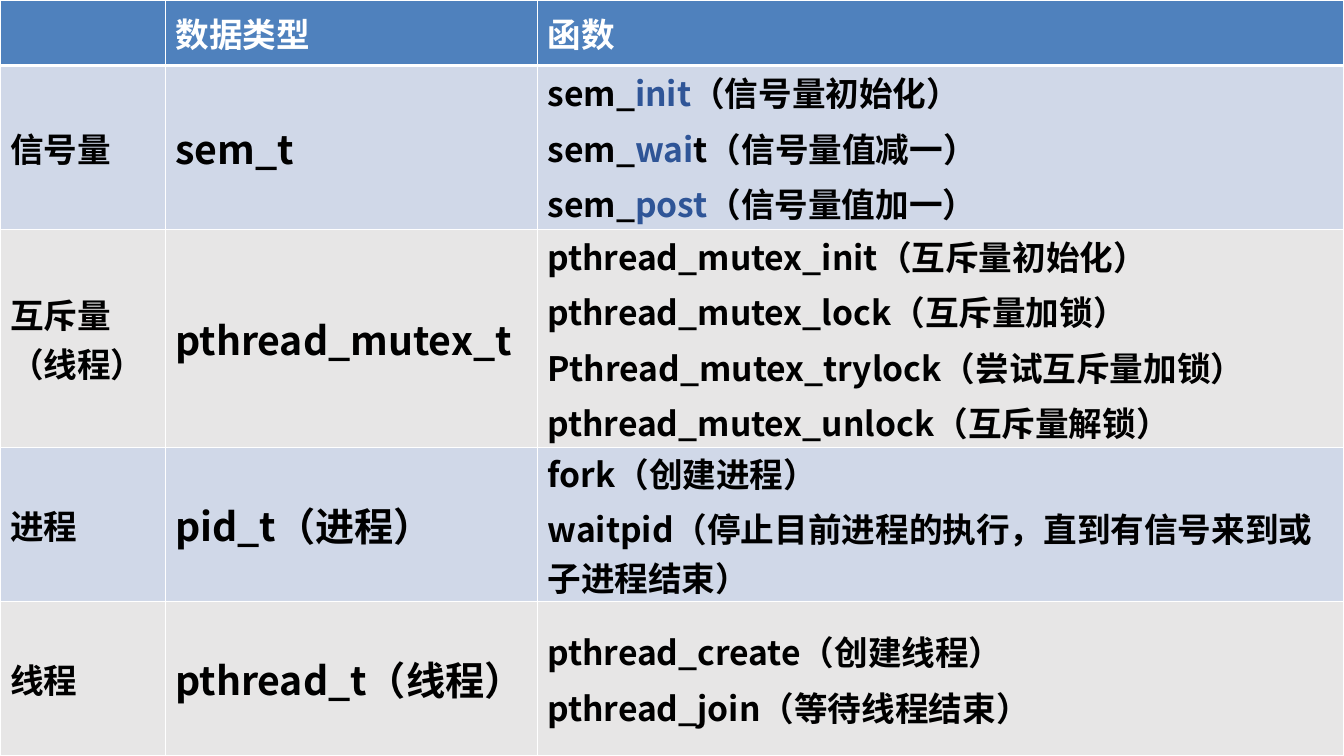
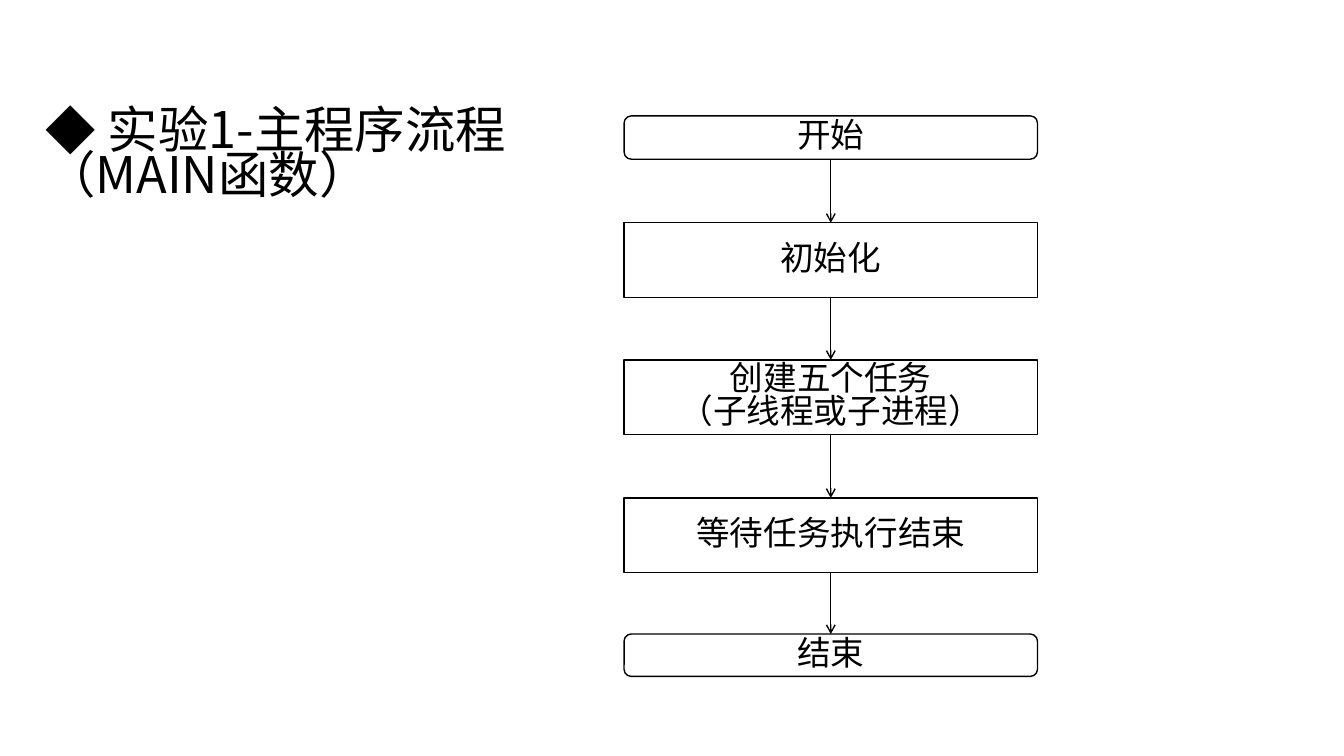
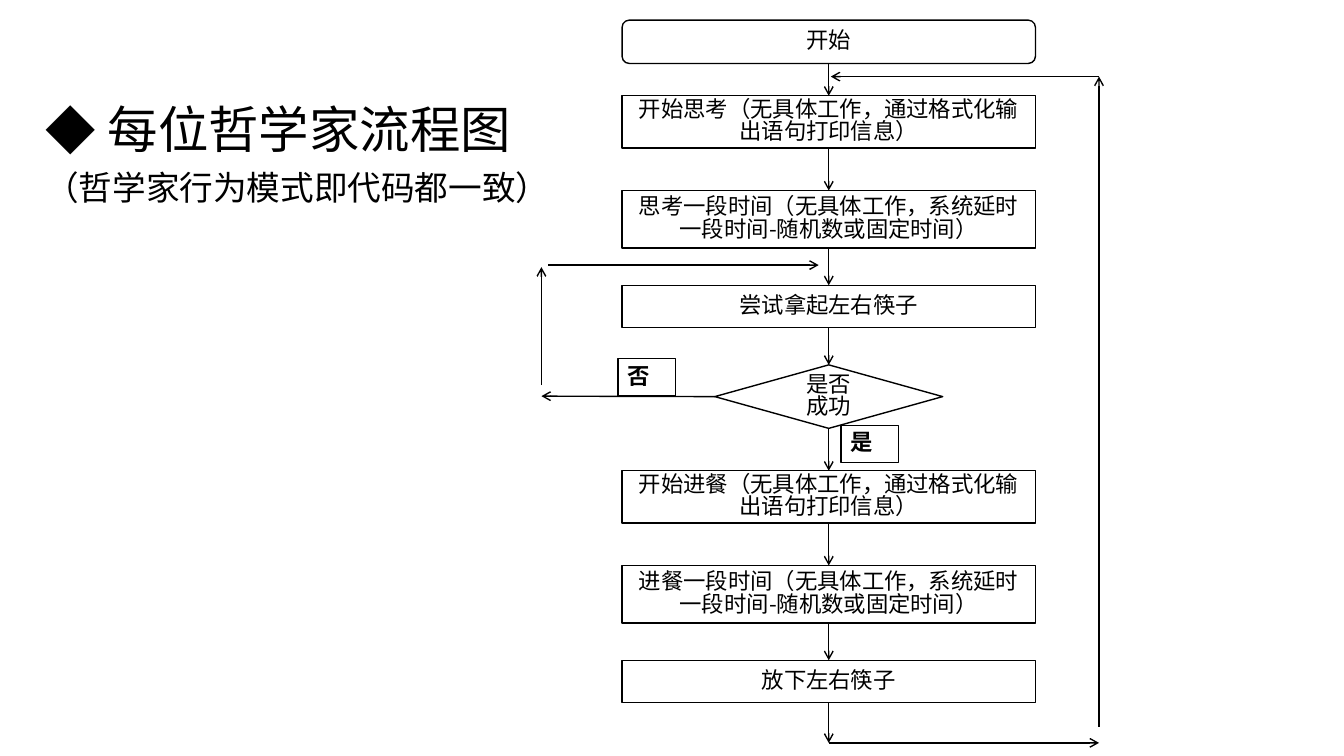
from pptx import Presentation
from pptx import util as u
from pptx.dml.color import RGBColor
from pptx.enum import shapes, text
from pptx.oxml import ns
from lxml import etree

BLACK, WHITE, HIGHLIGHT = "000000", "FFFFFF", "2F5597"
HEADER_FILL, BLUE_ROW, GREY_ROW = "4F81BD", "D0D8E8", "E7E6E6"
FONT = "Noto Sans CJK SC"
TITLE_SPACING, FLOW_SPACING = 0.74, 0.83
ROUNDED = shapes.MSO_SHAPE.FLOWCHART_ALTERNATE_PROCESS
PROCESS = shapes.MSO_SHAPE.FLOWCHART_PROCESS
DECISION = shapes.MSO_SHAPE.FLOWCHART_DECISION
TOP, LEFT, BOTTOM = 0, 1, 2

COLUMN_WIDTHS = [1.64, 3.69, 8]
ROW_HEIGHTS = [0.65, 1.63, 2.16, 1.53, 1.53]
HEADINGS = ["", "数据类型", "函数"]
API_ROWS = [
    ("信号量", "sem_t", [
        ("sem_", "init", "（信号量初始化）"),
        ("sem_", "wai", "t（信号量值减一）"),
        ("sem_", "post", "（信号量值加一）")]),
    ("互斥量（线程）", "pthread_mutex_t", [
        ("pthread_mutex_init（互斥量初始化）",),
        ("pthread_mutex_lock（互斥量加锁）",),
        ("Pthread_mutex_trylock（尝试互斥量加锁）",),
        ("pthread_mutex_unlock（互斥量解锁）",)]),
    ("进程", "pid_t（进程）", [
        ("fork（创建进程）",),
        ("waitpid（停止目前进程的执行，直到有信号来到或子进程结束）",)]),
    ("线程", "pthread_t（线程）", [
        ("pthread_create（创建线程）",),
        ("pthread_join（等待线程结束）",)]),
]

MAIN_STEPS = [
    (ROUNDED, 1.15, 0.43, ["开始"]),
    (PROCESS, 2.21, 0.74, ["初始化"]),
    (PROCESS, 3.57, 0.74, ["创建五个任务", "（子线程或子进程）"]),
    (PROCESS, 4.94, 0.74, ["等待任务执行结束"]),
    (ROUNDED, 6.29, 0.42, ["结束"]),
]
PHILOSOPHER_STEPS = [
    (ROUNDED, 0.2, 0.43, ["开始"]),
    (PROCESS, 0.95, 0.52, ["开始思考（无具体工作，通过格式化输出语句打印信息）"]),
    (PROCESS, 1.89, 0.57, ["思考一段时间（无具体工作，系统延时一段时间-随机数或固定时间）"]),
    (PROCESS, 2.83, 0.42, ["尝试拿起左右筷子"]),
    (DECISION, 3.62, 0.63, ["是否", "成功"]),
    (PROCESS, 4.67, 0.52, ["开始进餐（无具体工作，通过格式化输出语句打印信息）"]),
    (PROCESS, 5.61, 0.57, ["进餐一段时间（无具体工作，系统延时一段时间-随机数或固定时间）"]),
    (PROCESS, 6.55, 0.42, ["放下左右筷子"]),
]


def colour(value):
    """Turn a hex string into a colour."""
    return RGBColor.from_string(value)


def add_run(paragraph, words, size, hue=BLACK, bold=False):
    """Add one styled run to a paragraph."""
    run = paragraph.add_run()
    run.text = words
    run.font.size = u.Pt(size)
    run.font.bold = bold
    run.font.name = FONT
    run.font.color.rgb = colour(hue)
    east_asian = etree.SubElement(run.font._element, ns.qn("a:ea"))
    east_asian.set("typeface", FONT)


def next_paragraph(frame, index):
    """Return the first paragraph of a frame, or a new one after it."""
    return frame.add_paragraph() if index else frame.paragraphs[0]


def set_borders(cell, top, bottom):
    """Draw white lines round a table cell."""
    properties = cell._tc.get_or_add_tcPr()
    for index, (side, width) in enumerate(zip("LRTB", (1, 1, top, bottom))):
        line = etree.Element(ns.qn(f"a:ln{side}"), w=str(u.Pt(width)))
        fill = etree.SubElement(line, ns.qn("a:solidFill"))
        etree.SubElement(fill, ns.qn("a:srgbClr"), val=WHITE)
        properties.insert(index, line)


def fill_cell(cell, paragraphs, size, fill, hue=BLACK):
    """Write a cell, with every second run of a paragraph highlighted."""
    cell.fill.solid()
    cell.fill.fore_color.rgb = colour(fill)
    cell.vertical_anchor = text.MSO_ANCHOR.MIDDLE
    cell.margin_left = cell.margin_right = u.Inches(0.1)
    cell.margin_top = cell.margin_bottom = 0
    for index, runs in enumerate(paragraphs):
        paragraph = next_paragraph(cell.text_frame, index)
        if index:
            paragraph.space_before = u.Pt(size * 0.2)
        for position, words in enumerate(runs):
            if words:
                add_run(paragraph, words, size, HIGHLIGHT if position % 2 else hue, True)


def add_api_table(slide, left, top):
    """Place the table of data types and functions."""
    frame = slide.shapes.add_table(
        len(ROW_HEIGHTS), len(COLUMN_WIDTHS), u.Inches(left), u.Inches(top),
        u.Inches(sum(COLUMN_WIDTHS)), u.Inches(sum(ROW_HEIGHTS)))
    table = frame.table
    for column, width in zip(table.columns, COLUMN_WIDTHS):
        column.width = u.Inches(width)
    for row, height in zip(table.rows, ROW_HEIGHTS):
        row.height = u.Inches(height)
    for column, heading in enumerate(HEADINGS):
        fill_cell(table.cell(0, column), [(heading,)], 24, HEADER_FILL, WHITE)
    for row, (topic, data_type, functions) in enumerate(API_ROWS, 1):
        fill = BLUE_ROW if row % 2 else GREY_ROW
        fill_cell(table.cell(row, 0), [(topic,)], 24, fill)
        fill_cell(table.cell(row, 1), [(data_type,)], 28, fill)
        fill_cell(table.cell(row, 2), functions, 24, fill)
    for row in range(len(ROW_HEIGHTS)):
        for column in range(len(COLUMN_WIDTHS)):
            set_borders(table.cell(row, column), 3 if row == 1 else 1, 3 if row == 0 else 1)


def add_title(slide, heading, subtitle, subtitle_size, subtitle_spacing):
    """Place the diamond-bulleted heading and the line under it."""
    box = slide.shapes.add_textbox(*map(u.Inches, (0.35, 1.07, 5.46, 1.45)))
    frame = box.text_frame
    frame.word_wrap = True
    first = frame.paragraphs[0]
    properties = first._p.get_or_add_pPr()
    properties.set("marL", str(u.Inches(0.62)))
    properties.set("indent", str(-u.Inches(0.62)))
    etree.SubElement(properties, ns.qn("a:buFont"), typeface=FONT)
    etree.SubElement(properties, ns.qn("a:buChar"), char="◆")
    first.line_spacing = TITLE_SPACING
    add_run(first, heading, 36)
    second = frame.add_paragraph()
    second.line_spacing = subtitle_spacing
    add_run(second, subtitle, subtitle_size)


def add_box(slide, kind, box, lines, size, bold=False, align=text.PP_ALIGN.CENTER):
    """Draw one outlined white box with its text."""
    shape = slide.shapes.add_shape(kind, *map(u.Inches, box))
    shape.shadow.inherit = False
    shape.fill.solid()
    shape.fill.fore_color.rgb = colour(WHITE)
    shape.line.color.rgb = colour(BLACK)
    shape.line.width = u.Pt(1)
    frame = shape.text_frame
    frame.word_wrap = True
    frame.vertical_anchor = text.MSO_ANCHOR.MIDDLE
    frame.margin_top = frame.margin_bottom = 0
    for index, words in enumerate(lines):
        paragraph = next_paragraph(frame, index)
        paragraph.alignment = align
        paragraph.line_spacing = FLOW_SPACING
        add_run(paragraph, words, size, bold=bold)
    return shape


def add_arrow(slide, start=(0, 0), end=(0, 0)):
    """Draw a straight arrow between two points."""
    arrow = slide.shapes.add_connector(
        shapes.MSO_CONNECTOR.STRAIGHT, *map(u.Inches, (*start, *end)))
    arrow.line.color.rgb = colour(BLACK)
    arrow.line.width = u.Pt(1)
    etree.SubElement(arrow.line._get_or_add_ln(), ns.qn("a:tailEnd"), type="arrow")
    etree.SubElement(arrow._element.spPr, ns.qn("a:effectLst"))
    return arrow


def add_flow(slide, centre, steps, size):
    """Stack the steps on a centre line and join each to the next."""
    boxes = []
    for kind, top, height, lines in steps:
        width = 2.26 if kind == DECISION else 4.1
        boxes.append(add_box(slide, kind, (centre - width / 2, top, width, height), lines, size))
    for above, below in zip(boxes, boxes[1:]):
        arrow = add_arrow(slide)
        arrow.begin_connect(above, BOTTOM)
        arrow.end_connect(below, TOP)
    return boxes


def add_retry_loop(slide, decision, centre):
    """Lead from the decision back to picking up the chopsticks."""
    outer = 5.37
    middle = 3.93
    add_arrow(slide, (centre - 1.13, middle), (outer, middle)).begin_connect(decision, LEFT)
    add_arrow(slide, (outer, 3.82), (outer, 2.65))
    add_arrow(slide, (5.44, 2.63), (centre - 0.1, 2.63))


def add_return_loop(slide, last_step, centre):
    """Lead from the last step back to thinking."""
    outer, low, high = 10.9, 7.37, 0.76
    add_arrow(slide, (centre, 6.97), (centre, low)).begin_connect(last_step, BOTTOM)
    add_arrow(slide, (centre, low), (outer, low))
    add_arrow(slide, (outer, 7.21), (outer, high))
    add_arrow(slide, (outer, high), (centre + 0.02, high))


def build_main_slide(slide):
    """Build the flow chart of the main program."""
    add_title(slide, "实验1-主程序流程", "（MAIN函数）", 36, TITLE_SPACING)
    add_flow(slide, 8.24, MAIN_STEPS, 24)


def build_philosopher_slide(slide):
    """Build the flow chart of one philosopher."""
    centre = 8.22
    add_title(slide, "每位哲学家流程图", "（哲学家行为模式即代码都一致）", 24, 1.22)
    steps = add_flow(slide, centre, PHILOSOPHER_STEPS, 16)
    add_retry_loop(slide, steps[4], centre)
    add_return_loop(slide, steps[-1], centre)
    for answer, left, top in (("否", 6.13, 3.56), ("是", 8.34, 4.22)):
        add_box(slide, shapes.MSO_SHAPE.RECTANGLE, (left, top, 0.57, 0.37),
                [answer], 16, True, text.PP_ALIGN.LEFT)


def main():
    """Build and save the presentation."""
    deck = Presentation()
    deck.slide_width, deck.slide_height = u.Inches(13.33), u.Inches(7.5)
    blank = deck.slide_layouts[6]
    add_api_table(deck.slides.add_slide(blank), 0, 0)
    build_main_slide(deck.slides.add_slide(blank))
    build_philosopher_slide(deck.slides.add_slide(blank))
    deck.save("out.pptx")


if __name__ == "__main__":
    main()
